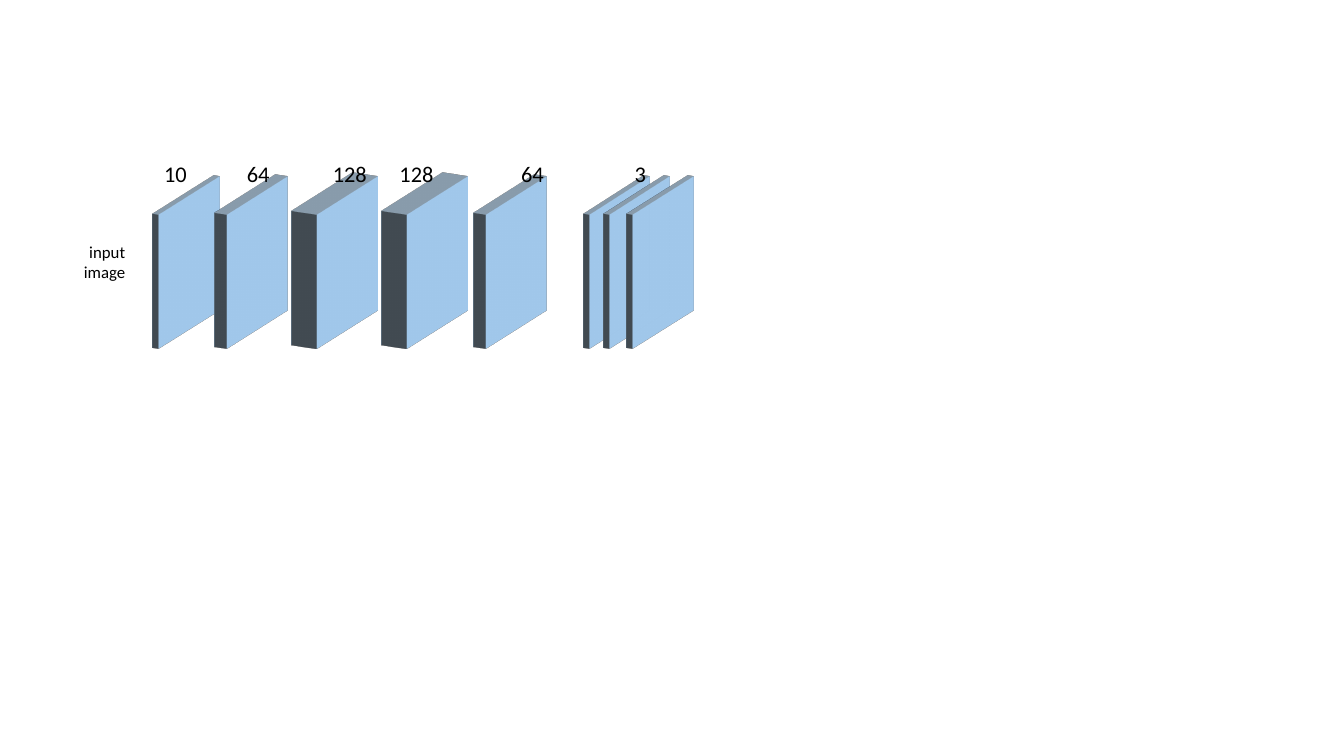
from lxml import etree
from pptx import Presentation
from pptx import util as u
from pptx.dml.color import RGBColor
from pptx.enum import shapes, text
from pptx.oxml import ns

SLAB_TOP, SLAB_WIDTH, SLAB_HEIGHT = 1.91, 1.37, 1.39
LABEL_TOP, LABEL_HEIGHT = 1.54, 0.37
DEPTH = {10: 5, 64: 10, 128: 20, 3: 5}  # points

# channels, left edges of the slabs, left edge of the label
LAYERS = [
    (10, [1.19], 1.48),
    (64, [1.87], 2.3),
    (128, [2.76], 3.16),
    (128, [3.65], 3.82),
    (64, [4.44], 5.02),
    (3, [5.46, 5.66, 5.89], 6.09),
]


def color(value):
    return RGBColor.from_string(value)


def extrude(shape, depth):
    """Turn a flat shape to the right and give it a depth in points."""
    properties = shape._element.spPr
    scene = etree.SubElement(properties, ns.qn("a:scene3d"))
    etree.SubElement(scene, ns.qn("a:camera"), prst="isometricOffAxis2Right")
    etree.SubElement(scene, ns.qn("a:lightRig"), rig="threePt", dir="t")
    etree.SubElement(properties, ns.qn("a:sp3d"), extrusionH=str(u.Pt(depth)))


def add_slab(parent, left, depth):
    place = map(u.Inches, (left, SLAB_TOP, SLAB_WIDTH, SLAB_HEIGHT))
    slab = parent.add_shape(shapes.MSO_SHAPE.RECTANGLE, *place)
    slab.shadow.inherit = False
    slab.fill.solid()
    slab.fill.fore_color.rgb = color("9DC3E6")
    slab.line.color.rgb = color("BDD7EE")
    slab.line.width = u.Pt(0.25)
    extrude(slab, depth)


def add_text(parent, place, lines, size, align):
    box = parent.add_textbox(*map(u.Inches, place))
    frame = box.text_frame
    frame.word_wrap = True
    frame.auto_size = text.MSO_AUTO_SIZE.SHAPE_TO_FIT_TEXT
    frame.text = "\n".join(lines)
    for para in frame.paragraphs:
        para.alignment = align
        for span in para.runs:
            span.font.name = "Calibri"
            span.font.size = u.Pt(size)
            span.font.color.rgb = color("000000")


def add_layer(page, channels, lefts, label_left):
    parent = page.shapes
    if len(lefts) > 1:
        parent = parent.add_group_shape().shapes
    for left in lefts:
        add_slab(parent, left, DEPTH[channels])
    label_width = 0.62 if channels > 99 else 0.52
    place = label_left, LABEL_TOP, label_width, LABEL_HEIGHT
    add_text(parent, place, [str(channels)], 16, text.PP_ALIGN.CENTER)


def main():
    deck = Presentation()
    deck.slide_width, deck.slide_height = u.Inches(13.33), u.Inches(7.5)
    page = deck.slides.add_slide(deck.slide_layouts[6])
    for layer in LAYERS:
        add_layer(page, *layer)
    add_text(page.shapes, (0.4, 2.35, 0.94, 0.5), ["input", "image"], 12,
             text.PP_ALIGN.RIGHT)
    deck.save("out.pptx")


if __name__ == "__main__":
    main()
